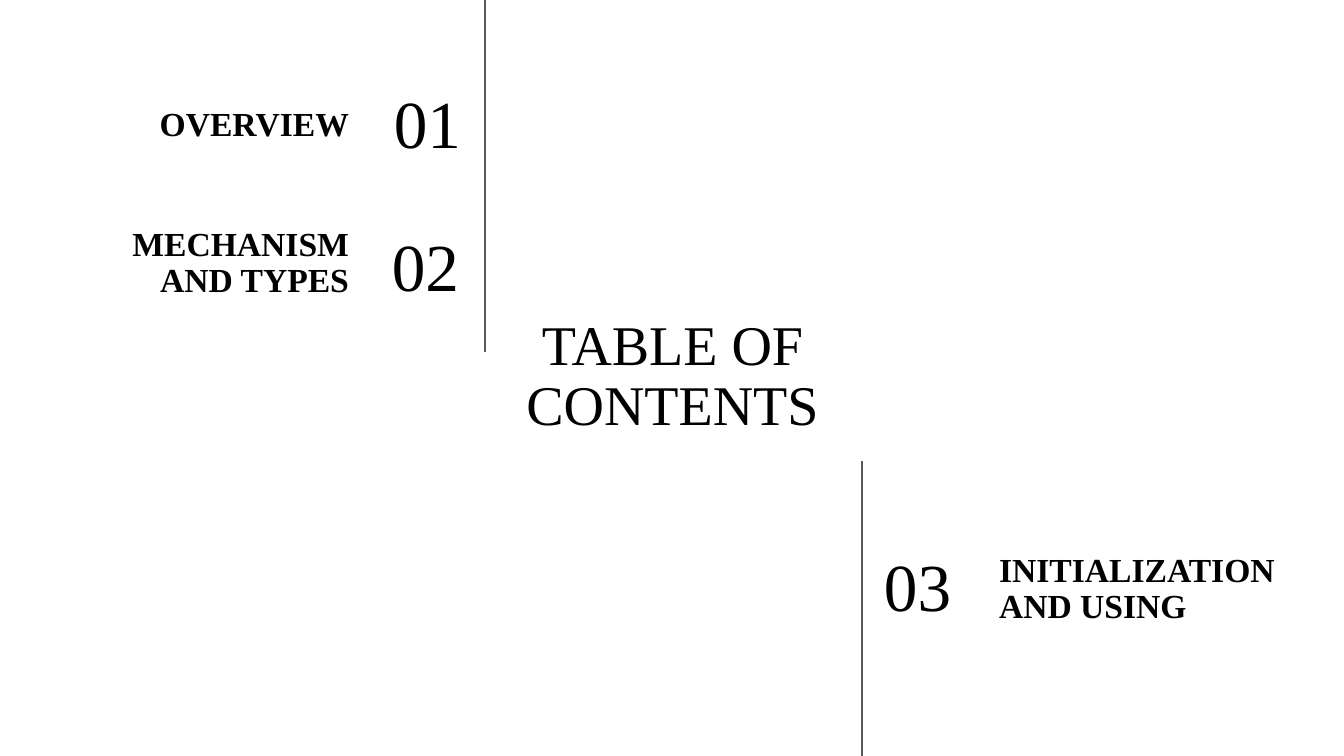
from pptx import Presentation
from pptx.dml.color import RGBColor
from pptx.enum.shapes import MSO_CONNECTOR
from pptx.enum.text import MSO_ANCHOR, MSO_AUTO_SIZE, PP_ALIGN
from pptx.oxml.ns import qn
from pptx.util import Pt
from lxml.etree import SubElement

PX = 914400 / 100.8
SLIDE_WIDTH, SLIDE_HEIGHT = 1344, 756
INSET = 13
ENTRY_HEIGHT = 85
FONT = "Times New Roman"
BLACK = RGBColor(0x00, 0x00, 0x00)
GREY = RGBColor(0x59, 0x59, 0x59)


def px(length):
    return round(length * PX)


def write(box, text, size, align, anchor, bold=False):
    """Fill a text shape with one formatted paragraph."""
    frame = box.text_frame
    frame.word_wrap = True
    frame.auto_size = MSO_AUTO_SIZE.NONE
    frame.vertical_anchor = anchor
    frame.margin_left = frame.margin_right = px(INSET)
    frame.margin_top = frame.margin_bottom = px(INSET)
    para = frame.paragraphs[0]
    para.alignment = align
    para.line_spacing = 0.9
    span = para.add_run()
    span.text = text
    span.font.name = FONT
    span.font.size = Pt(size)
    span.font.bold = bold
    span.font.color.rgb = BLACK


def add_heading(page, left, top, width, height):
    title = page.shapes.title
    title.left, title.top = px(left), px(top)
    title.width, title.height = px(width), px(height)
    write(title, "TABLE OF CONTENTS", 40, PP_ALIGN.CENTER, MSO_ANCHOR.MIDDLE)


def add_entry(page, number, label, number_box, label_box, align):
    """Place a chapter number and its label, each in (left, top, width)."""
    for text, (left, top, width), size, anchor, bold in (
        (number, number_box, 48, MSO_ANCHOR.MIDDLE, False),
        (label, label_box, 24, MSO_ANCHOR.BOTTOM, True),
    ):
        box = page.shapes.add_textbox(px(left), px(top), px(width), px(ENTRY_HEIGHT))
        write(box, text, size, align, anchor, bold)


def add_divider(page, x, top, bottom):
    line = page.shapes.add_connector(
        MSO_CONNECTOR.STRAIGHT, px(x), px(top), px(x), px(bottom))
    line.line.color.rgb = GREY
    line.line.width = Pt(0.75)
    SubElement(line._element.spPr, qn("a:effectLst"))


def build_contents(page):
    add_heading(page, 498, 308, 349, 139)

    # Chapters left and right of the heading
    add_entry(page, "01", "OVERVIEW", (311, 84, 163), (72, 72, 290), PP_ALIGN.RIGHT)
    add_entry(page, "02", "MECHANISM AND TYPES", (309, 227, 163), (53, 228, 309),
              PP_ALIGN.RIGHT)
    add_entry(page, "03", "INITIALIZATION AND USING", (871, 547, 157), (986, 554, 313),
              PP_ALIGN.LEFT)

    # Vertical dividers
    add_divider(page, 485, 0, 352)
    add_divider(page, 862, 461, SLIDE_HEIGHT)


def main():
    deck = Presentation()
    deck.slide_width, deck.slide_height = px(SLIDE_WIDTH), px(SLIDE_HEIGHT)
    page = deck.slides.add_slide(deck.slide_layouts[5])
    build_contents(page)
    deck.save("out.pptx")


if __name__ == "__main__":
    main()
